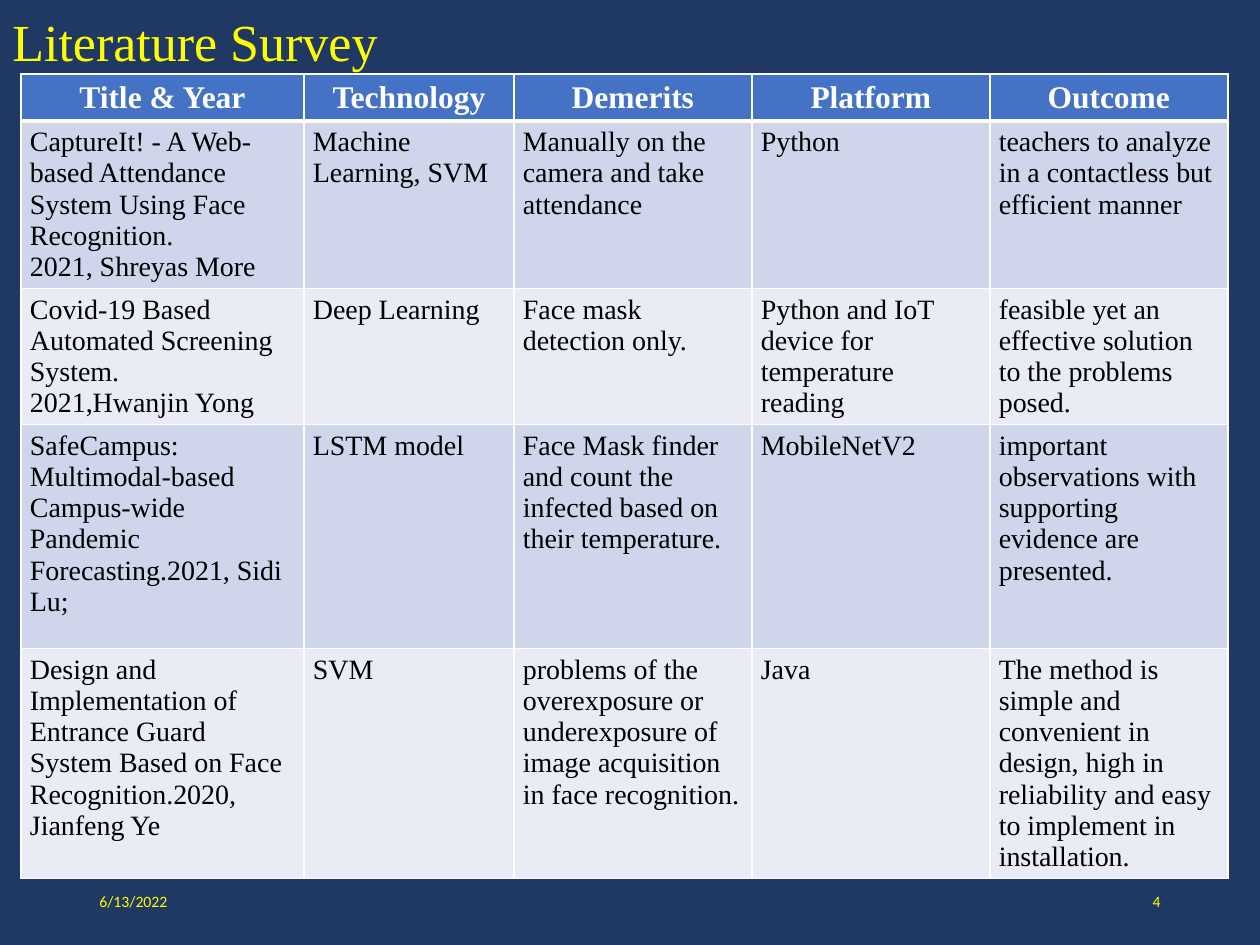
from lxml import etree
from pptx import Presentation
from pptx import util as u
from pptx.dml.color import RGBColor
from pptx.enum import text
from pptx.oxml import ns

COLORS = {
    "navy": "203864", "yellow": "FFFF00", "white": "FFFFFF", "black": "000000",
    "header": "4472C4", "odd": "CFD5EA", "even": "E9EBF5",
}
SERIF, SANS = "Times New Roman", "Calibri"
LEFT, CENTER, RIGHT = text.PP_ALIGN.LEFT, text.PP_ALIGN.CENTER, text.PP_ALIGN.RIGHT

LABELS = [
    ("Literature Survey", (0, 10, 1086, 70), SERIF, 29.7, LEFT, 0.9),
    ("6/13/2022", (87, 876, 283, 50), SANS, 9, LEFT, 1),
    ("4", (890, 876, 283, 50), SANS, 9, RIGHT, 1),
]

SURVEY = [
    ("Title & Year", "Technology", "Demerits", "Platform", "Outcome"),
    ("CaptureIt! - A Web-based Attendance System Using Face Recognition.\n2021, Shreyas More",
     "Machine Learning, SVM",
     "Manually on the camera and take attendance",
     "Python",
     "teachers to analyze in a contactless but efficient manner"),
    ("Covid-19 Based Automated Screening System.\n2021,Hwanjin Yong",
     "Deep Learning",
     "Face mask detection only.",
     "Python and IoT device for temperature reading",
     "feasible yet an effective solution to the problems posed."),
    ("SafeCampus: Multimodal-based Campus-wide Pandemic Forecasting.2021, Sidi Lu;",
     "LSTM model",
     "Face Mask finder and count the infected based on their temperature.",
     "MobileNetV2",
     "important observations with supporting evidence are presented."),
    ("Design and Implementation of Entrance Guard System Based on Face Recognition.2020, Jianfeng Ye",
     "SVM",
     "problems of the overexposure or underexposure of image acquisition in face recognition.",
     "Java",
     "The method is simple and convenient in design, high in reliability and easy to implement in installation."),
]
TABLE_LEFT, TABLE_TOP = 21, 74
COLUMN_WIDTHS = [283, 210, 238, 238, 238]
ROW_HEIGHTS = [44, 165, 134, 224, 227]
MARGIN_X, MARGIN_Y = 9, 6


def px(length):
    return u.Emu(round(length * 914400 / 126))


def color(name):
    return RGBColor.from_string(COLORS[name])


def style(para, font, size, ink, align, bold=False):
    para.alignment = align
    for span in para.runs:
        span.font.name = font
        span.font.size = u.Pt(size)
        span.font.bold = bold
        span.font.color.rgb = color(ink)


def add_label(page, words, place, font, size, align, spacing):
    box = page.shapes.add_textbox(*map(px, place))
    frame = box.text_frame
    frame.word_wrap = True
    frame.vertical_anchor = text.MSO_ANCHOR.MIDDLE
    frame.text = words
    para = frame.paragraphs[0]
    para.line_spacing = spacing
    style(para, font, size, "yellow", align)


def add_borders(cell, widths):
    properties = cell._tc.get_or_add_tcPr()
    for side, width in widths.items():
        line = etree.SubElement(properties, ns.qn(f"a:ln{side}"), w=str(u.Pt(width)))
        fill = etree.SubElement(line, ns.qn("a:solidFill"))
        etree.SubElement(fill, ns.qn("a:srgbClr"), val=COLORS["white"])


def fill_cell(cell, words, row):
    is_header = row == 0
    cell.margin_left = cell.margin_right = px(MARGIN_X)
    cell.margin_top = cell.margin_bottom = px(MARGIN_Y)
    add_borders(cell, {"L": 1, "R": 1, "T": 3 if row == 1 else 1, "B": 3 if is_header else 1})
    cell.fill.solid()
    cell.fill.fore_color.rgb = color("header" if is_header else "odd" if row % 2 else "even")
    cell.text_frame.text = words
    for para in cell.text_frame.paragraphs:
        if is_header:
            style(para, SERIF, 18, "white", CENTER, bold=True)
        else:
            style(para, SERIF, 16, "black", LEFT)


def add_survey(page):
    table = page.shapes.add_table(
        len(SURVEY), len(COLUMN_WIDTHS), px(TABLE_LEFT), px(TABLE_TOP),
        px(sum(COLUMN_WIDTHS)), px(sum(ROW_HEIGHTS))).table
    for column, width in zip(table.columns, COLUMN_WIDTHS):
        column.width = px(width)
    for row, height in zip(table.rows, ROW_HEIGHTS):
        row.height = px(height)
    for r, entries in enumerate(SURVEY):
        for c, words in enumerate(entries):
            fill_cell(table.cell(r, c), words, r)


def main():
    deck = Presentation()
    deck.slide_width, deck.slide_height = px(1260), px(945)
    page = deck.slides.add_slide(deck.slide_layouts[6])
    page.background.fill.solid()
    page.background.fill.fore_color.rgb = color("navy")
    add_survey(page)
    for label in LABELS:
        add_label(page, *label)
    deck.save("out.pptx")


if __name__ == "__main__":
    main()
